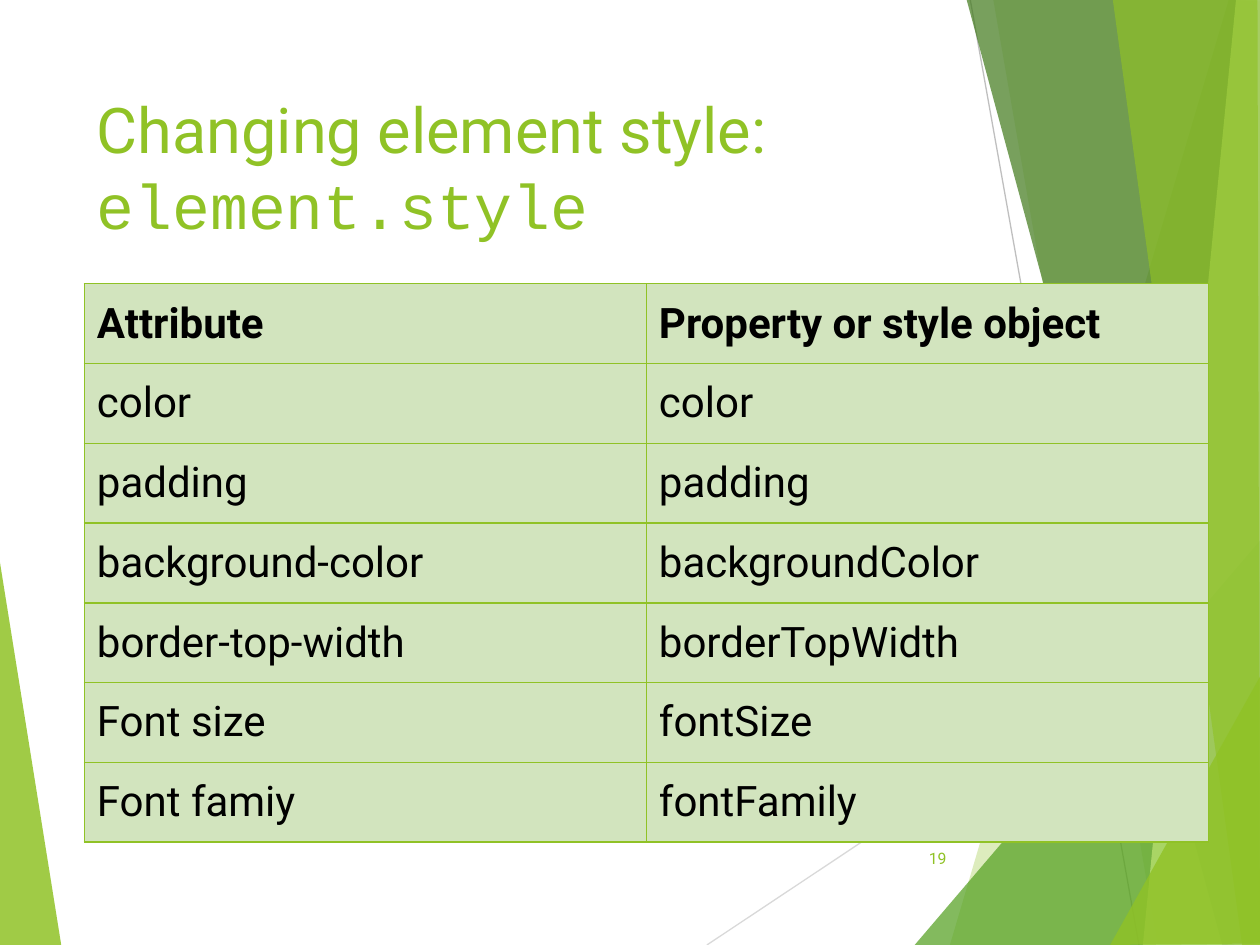
from lxml import etree
from pptx import Presentation
from pptx.dml.color import RGBColor
from pptx.enum import shapes, text
from pptx.oxml import ns
from pptx.util import Cm, Pt

COLORS = {
    "lime": "90C226",
    "green": "54A021",
    "forest": "3F7819",
    "pale": "C0E474",
    "cell": "D2E4BE",
    "ink": "000000",
    "silver": "D9D9D9",
    "gray": "BFBFBF",
}
FACETS = [
    ("lime", 85, [(-0.03, 11.15), (1.24, 19.08), (-0.03, 19.05)]),
    ("silver", 100, [(14.25, 19.05), (25.43, 11.61)]),
    ("gray", 100, [(19.56, 0), (22.96, 19.05)]),
    ("lime", 30, [(24.77, 0), (19.15, 19.05), (25.45, 19.08), (25.43, 0.03)]),
    ("lime", 20, [(20.02, -0.03), (23.34, 19.05), (25.43, 19.05), (25.43, -0.03)]),
    ("green", 72, [(18.44, 19.05), (25.4, 10.9), (25.43, 19.05)]),
    ("forest", 70, [(19.48, -0.03), (24.64, 19.05), (25.43, 19.02), (25.43, -0.03)]),
    ("pale", 70, [(24.92, -0.03), (23.04, 19.05), (25.43, 19.05), (25.4, -0.03)]),
    ("lime", 65, [(22.43, -0.03), (25.04, 19.05), (25.4, 19.05), (25.35, -0.03)]),
    ("lime", 80, [(22.38, 19.05), (25.43, 13.59), (25.43, 19.02)]),
]
STYLE_ROWS = [
    ("Attribute", "Property or style object"),
    ("color", "color"),
    ("padding", "padding"),
    ("background-color", "backgroundColor"),
    ("border-top-width", "borderTopWidth"),
    ("Font size", "fontSize"),
    ("Font famiy", "fontFamily"),
]


def set_font(paragraph, size, color, bold=False):
    font = paragraph.font
    font.name = "Roboto"
    font.size = Pt(size)
    font.bold = bold
    font.color.rgb = RGBColor.from_string(COLORS[color])


def add_border(cell, side):
    line = etree.SubElement(cell._tc.get_or_add_tcPr(), ns.qn(f"a:{side}"), w=str(Pt(1)))
    fill = etree.SubElement(line, ns.qn("a:solidFill"))
    etree.SubElement(fill, ns.qn("a:srgbClr"), val=COLORS["lime"])


prs = Presentation()
prs.slide_width, prs.slide_height = Cm(25.4), Cm(19.05)
slide = prs.slides.add_slide(prs.slide_layouts[5])

for color, opacity, points in FACETS:
    corners = [(Cm(x), Cm(y)) for x, y in points]
    rgb = RGBColor.from_string(COLORS[color])
    if len(corners) == 2:
        ray = slide.shapes.add_connector(shapes.MSO_CONNECTOR.STRAIGHT, *corners[0], *corners[1])
        ray.line.color.rgb = rgb
        ray.line.width = Pt(0.75)
        etree.SubElement(ray.element.spPr, ns.qn("a:effectLst"))
        continue
    outline = slide.shapes.build_freeform(*corners[0])
    outline.add_line_segments(corners[1:], close=True)
    facet = outline.convert_to_shape()
    facet.shadow.inherit = False
    facet.line.fill.background()
    facet.fill.solid()
    facet.fill.fore_color.rgb = rgb
    tint = facet.element.spPr.find(f".//{ns.qn('a:srgbClr')}")
    etree.SubElement(tint, ns.qn("a:alpha"), val=str(opacity * 1000))

title = slide.shapes.title
slide.shapes.element.append(title.element)
title.left, title.top, title.width, title.height = Cm(1.7), Cm(1.7), Cm(17.63), Cm(3.66)
title.text_frame.vertical_anchor = text.MSO_ANCHOR.TOP
title.text_frame.auto_size = text.MSO_AUTO_SIZE.NONE
heading = title.text_frame.paragraphs[0]
heading.alignment = text.PP_ALIGN.LEFT
set_font(heading, 36, "lime")
heading.add_run().text = "Changing element style: "
code = heading.add_run()
code.text = "element.style"
code.font.name = "Courier New"

page = slide.shapes.add_textbox(Cm(17.91), Cm(16.79), Cm(1.42), Cm(1.02)).text_frame
page.word_wrap = True
page.vertical_anchor = text.MSO_ANCHOR.MIDDLE
number = page.paragraphs[0]
number.text = "19"
number.alignment = text.PP_ALIGN.RIGHT
set_font(number, 9, "lime")

styles = slide.shapes.add_table(
    len(STYLE_ROWS), 2, Cm(1.7), Cm(5.72), Cm(22.66), Cm(11.26)
).table
for r, names in enumerate(STYLE_ROWS):
    for c, name in enumerate(names):
        cell = styles.cell(r, c)
        cell.text = name
        cell.vertical_anchor = text.MSO_ANCHOR.MIDDLE
        set_font(cell.text_frame.paragraphs[0], 24, "ink", bold=r == 0)
        for side in ("lnL", "lnR", "lnT", "lnB"):
            add_border(cell, side)
        cell.fill.solid()
        cell.fill.fore_color.rgb = RGBColor.from_string(COLORS["cell"])

prs.save("out.pptx")
